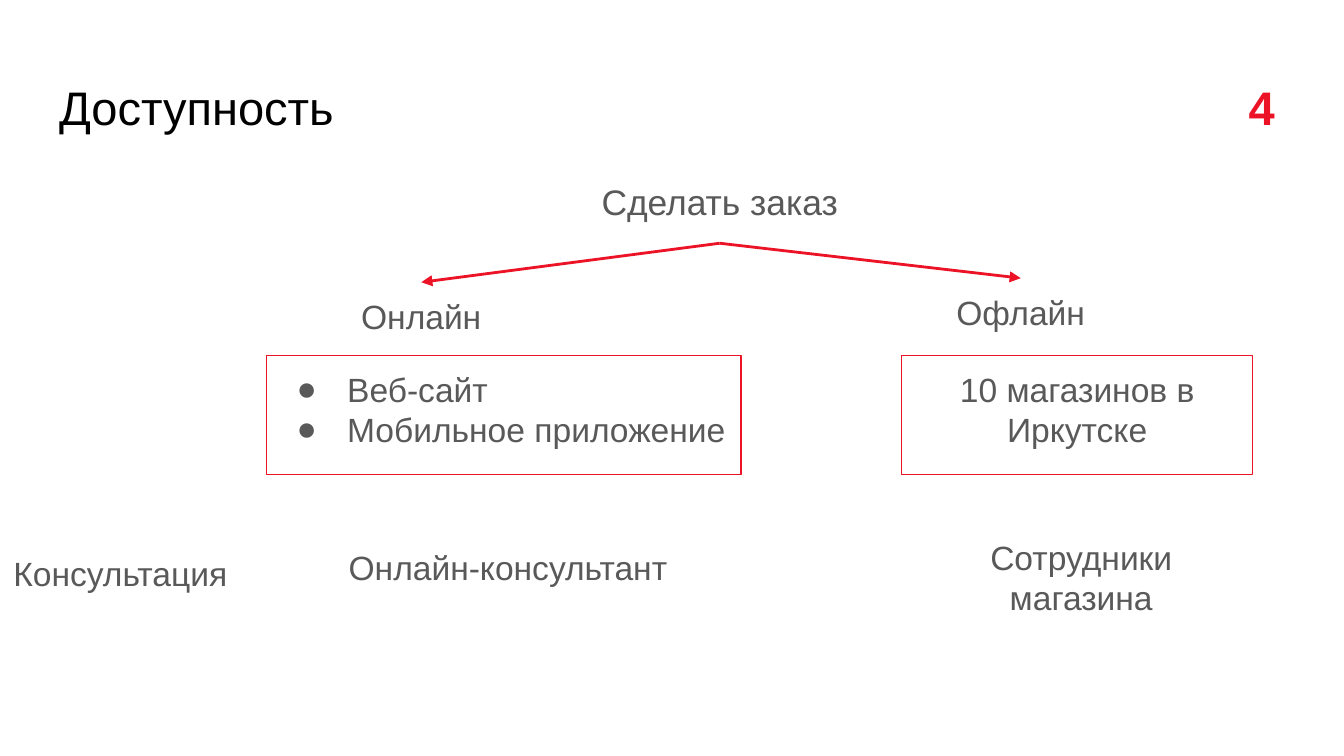
from lxml.etree import SubElement
from pptx import Presentation
from pptx.dml.color import RGBColor
from pptx.enum.shapes import MSO_CONNECTOR, MSO_SHAPE
from pptx.enum.text import MSO_ANCHOR, MSO_AUTO_SIZE, PP_ALIGN
from pptx.oxml.ns import qn
from pptx.util import Emu, Pt

COLORS = {"title": "000000", "text": "595959", "accent": "EC1326"}
FONT = "Arial"
PX = 4572
INSET = 20


def px(length):
    """Turn px, 200 to the inch, into EMU."""
    return Emu(length * PX)


def color(name):
    """Look up a colour of the slide."""
    return RGBColor.from_string(COLORS[name])


def format_span(span, size, tone="text", bold=False):
    """Give a run its font, size and colour."""
    span.font.name = FONT
    span.font.size = Pt(size)
    span.font.bold = bold
    span.font.color.rgb = color(tone)


def write_text(box, text, size=18, align=PP_ALIGN.CENTER, tone="text"):
    """Fill a box with plain paragraphs, one for each line of text."""
    frame = box.text_frame
    frame.text = text
    frame.word_wrap = True
    frame.auto_size = MSO_AUTO_SIZE.NONE
    frame.vertical_anchor = MSO_ANCHOR.TOP
    frame.margin_left = frame.margin_right = px(INSET)
    frame.margin_top = frame.margin_bottom = px(INSET)
    for para in frame.paragraphs:
        para.alignment = align
        para.space_before = Pt(0)
        format_span(para.runs[0], size, tone)


def place(box, left, top, width, height):
    """Move and size a placeholder."""
    box.left, box.top = px(left), px(top)
    box.width, box.height = px(width), px(height)


def fill_title(box, text, number):
    """Write the title with its number on a right tab stop."""
    place(box, 68, 97, 1864, 126)
    write_text(box, f"{text}\t", 25.2, PP_ALIGN.LEFT, "title")
    para = box.text_frame.paragraphs[0]
    span = para.add_run()
    span.text = number
    format_span(span, 25.2, "accent", True)
    tabs = SubElement(para._p.get_or_add_pPr(), qn("a:tabLst"))
    SubElement(tabs, qn("a:tab"), pos=str(px(1809)), algn="r")


def fill_body(box, text):
    """Write the row label in the body placeholder."""
    place(box, 0, 794, 370, 154)
    write_text(box, text, align=PP_ALIGN.LEFT)
    para = box.text_frame.paragraphs[0]
    para.line_spacing = 1.15
    para.space_after = Pt(12)
    properties = para._p.get_or_add_pPr()
    properties.set("marL", "0")
    properties.set("indent", "0")
    SubElement(properties, qn("a:buNone"))


def add_label(page, text, left, top, width, height, size=18):
    """Add a centred text box."""
    box = page.shapes.add_textbox(px(left), px(top), px(width), px(height))
    write_text(box, text, size)
    return box


def add_frame(page, text, left, width, align=PP_ALIGN.CENTER):
    """Add an outlined rectangle with text."""
    box = page.shapes.add_shape(
        MSO_SHAPE.RECTANGLE, px(left), px(529), px(width), px(177))
    box.shadow.inherit = False
    box.fill.background()
    box.line.color.rgb = color("accent")
    box.line.width = Pt(0.75)
    write_text(box, text, align=align)
    return box


def add_bullets(box):
    """Turn the paragraphs of a box into a bulleted list."""
    for para in box.text_frame.paragraphs:
        properties = para._p.get_or_add_pPr()
        properties.set("marL", str(px(100)))
        properties.set("indent", str(px(-75)))
        tint = SubElement(properties, qn("a:buClr"))
        SubElement(tint, qn("a:srgbClr"), val=COLORS["text"])
        SubElement(properties, qn("a:buFont"), typeface=FONT)
        SubElement(properties, qn("a:buChar"), char="●")


def add_arrow(page, parent, child):
    """Join the bottom of one box to the top of another."""
    arrow = page.shapes.add_connector(MSO_CONNECTOR.STRAIGHT, 0, 0, 0, 0)
    arrow.begin_connect(parent, 2)
    arrow.end_connect(child, 0)
    arrow.line.color.rgb = color("accent")
    arrow.line.width = Pt(1.5)
    SubElement(arrow.line._get_or_add_ln(), qn("a:tailEnd"), type="triangle")
    SubElement(arrow._element.spPr, qn("a:effectLst"))


def main():
    """Build the slide about ways to order."""
    deck = Presentation()
    deck.slide_width, deck.slide_height = px(2000), px(1125)
    page = deck.slides.add_slide(deck.slide_layouts[1])
    fill_title(page.shapes.title, "Доступность", "4")
    fill_body(page.placeholders[1], "Консультация")

    order = add_label(page, "Сделать заказ", 586, 248, 970, 114, 19)
    online = add_label(page, "Онлайн", 361, 420, 532, 104)
    offline = add_label(page, "Офлайн", 653, 414, 534, 114)
    offline.left = px(1252)
    for channel in (online, offline):
        add_arrow(page, order, channel)

    add_frame(page, "10 магазинов в Иркутске", 1342, 522)
    services = add_frame(
        page, "Веб-сайт\nМобильное приложение", 397, 706, PP_ALIGN.LEFT)
    add_bullets(services)

    add_label(page, "Сотрудники магазина", 1354, 779, 510, 140)
    add_label(page, "Онлайн-консультант", 397, 794, 718, 126)
    deck.save("out.pptx")


if __name__ == "__main__":
    main()
